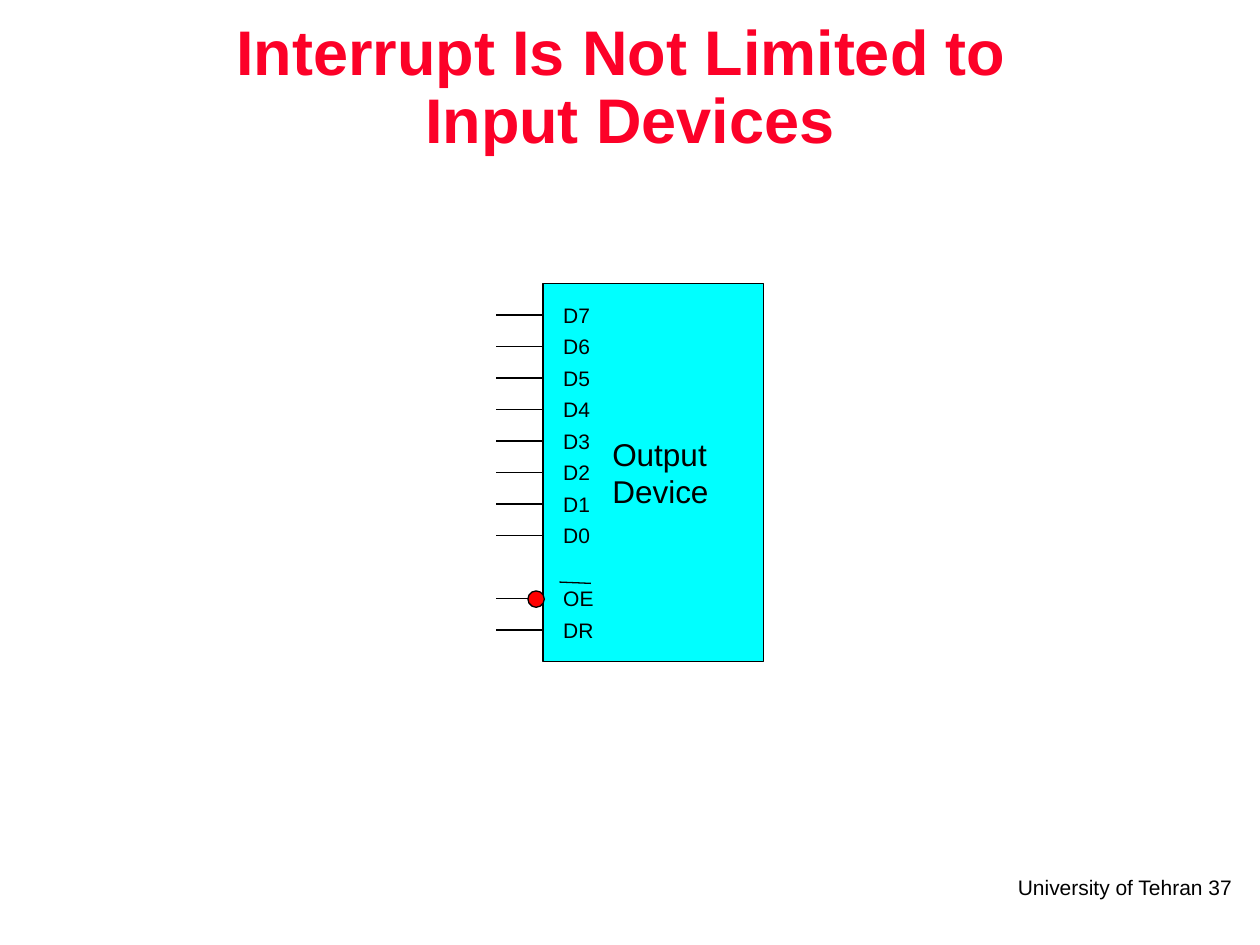
from dataclasses import dataclass
from lxml.etree import SubElement
from pptx import Presentation
from pptx.dml.color import RGBColor
from pptx.enum.shapes import MSO_CONNECTOR, MSO_SHAPE
from pptx.enum.text import MSO_ANCHOR, MSO_AUTO_SIZE, PP_ALIGN
from pptx.oxml.ns import qn
from pptx.util import Inches, Pt


@dataclass(frozen=True)
class Theme:
    font: str = "Arial"
    ink: RGBColor = RGBColor(0, 0, 0)
    title: RGBColor = RGBColor(0xFC, 0x01, 0x28)
    chip: RGBColor = RGBColor(0, 0xFF, 0xFF)
    dot: RGBColor = RGBColor(0xFF, 0, 0)
    big: Pt = Pt(36)
    mid: Pt = Pt(18)
    small: Pt = Pt(12)
    line: Pt = Pt(0.75)


theme = Theme()


def label(text, left, top, width, height, size):
    box = slide.shapes.add_textbox(Inches(left), Inches(top), Inches(width), Inches(height))
    frame = box.text_frame
    frame.margin_left = frame.margin_right = frame.margin_top = frame.margin_bottom = 0
    frame.word_wrap = False
    frame.auto_size = MSO_AUTO_SIZE.SHAPE_TO_FIT_TEXT
    frame.text = text
    for part in frame.paragraphs:
        part.font.name, part.font.size = theme.font, size
        part.font.color.rgb = theme.ink
    return frame


def wire(left, right, top, end):
    line = slide.shapes.add_connector(
        MSO_CONNECTOR.STRAIGHT, Inches(left), Inches(top), Inches(right), Inches(end))
    line.line.color.rgb = theme.ink
    line.line.width = theme.line
    SubElement(line._element.spPr, qn("a:effectLst"))


deck = Presentation()
deck.slide_width, deck.slide_height = Inches(10), Inches(7.5)
slide = deck.slides.add_slide(deck.slide_layouts[5])

title = slide.shapes.title
title.left, title.top = Inches(1.08), Inches(0.08)
title.width, title.height = Inches(7.84), Inches(1.25)
frame = title.text_frame
frame.text = "Interrupt Is Not Limited to \vInput Devices"
frame.auto_size = MSO_AUTO_SIZE.NONE
frame.vertical_anchor = MSO_ANCHOR.MIDDLE
head = frame.paragraphs[0]
head.alignment = PP_ALIGN.CENTER
head.line_spacing = 0.9
for run in head.runs:
    run.font.name, run.font.size, run.font.bold = theme.font, theme.big, True
    run.font.color.rgb = theme.title

edge, start, first, pitch, bubble = 4.31, 3.94, 2.5, 0.25, 0.13
tip = edge - bubble + 0.01

chip = slide.shapes.add_shape(
    MSO_SHAPE.RECTANGLE, Inches(edge), Inches(2.25), Inches(1.75), Inches(3))
dot = slide.shapes.add_shape(
    MSO_SHAPE.OVAL, Inches(tip), Inches(4.69), Inches(bubble), Inches(bubble))
for shape, fill in ((chip, theme.chip), (dot, theme.dot)):
    shape.shadow.inherit = False
    shape.fill.solid()
    shape.fill.fore_color.rgb = fill
    shape.line.color.rgb = theme.ink
    shape.line.width = theme.line

for row, word in enumerate(("Output", "Device")):
    label(word, 4.86, 3.45 + 0.3 * row, 0.77, 0.3, theme.mid)

rows = [(f"D{7 - row}", row, 0.22) for row in range(8)] + [("OE", 9, 0.25), ("DR", 10, 0.25)]
for pin, row, width in rows:
    y = first + pitch * row
    label(pin, 4.47, y - 0.1, width, 0.2, theme.small)
    wire(start, tip if pin == "OE" else edge, y, y)
wire(4.44, 4.69, 4.62, 4.63)

foot = label("University of Tehran 37", 7.48, 6.94, 2.3, 0.2, theme.small)
foot.paragraphs[0].alignment = PP_ALIGN.RIGHT

deck.save("out.pptx")
